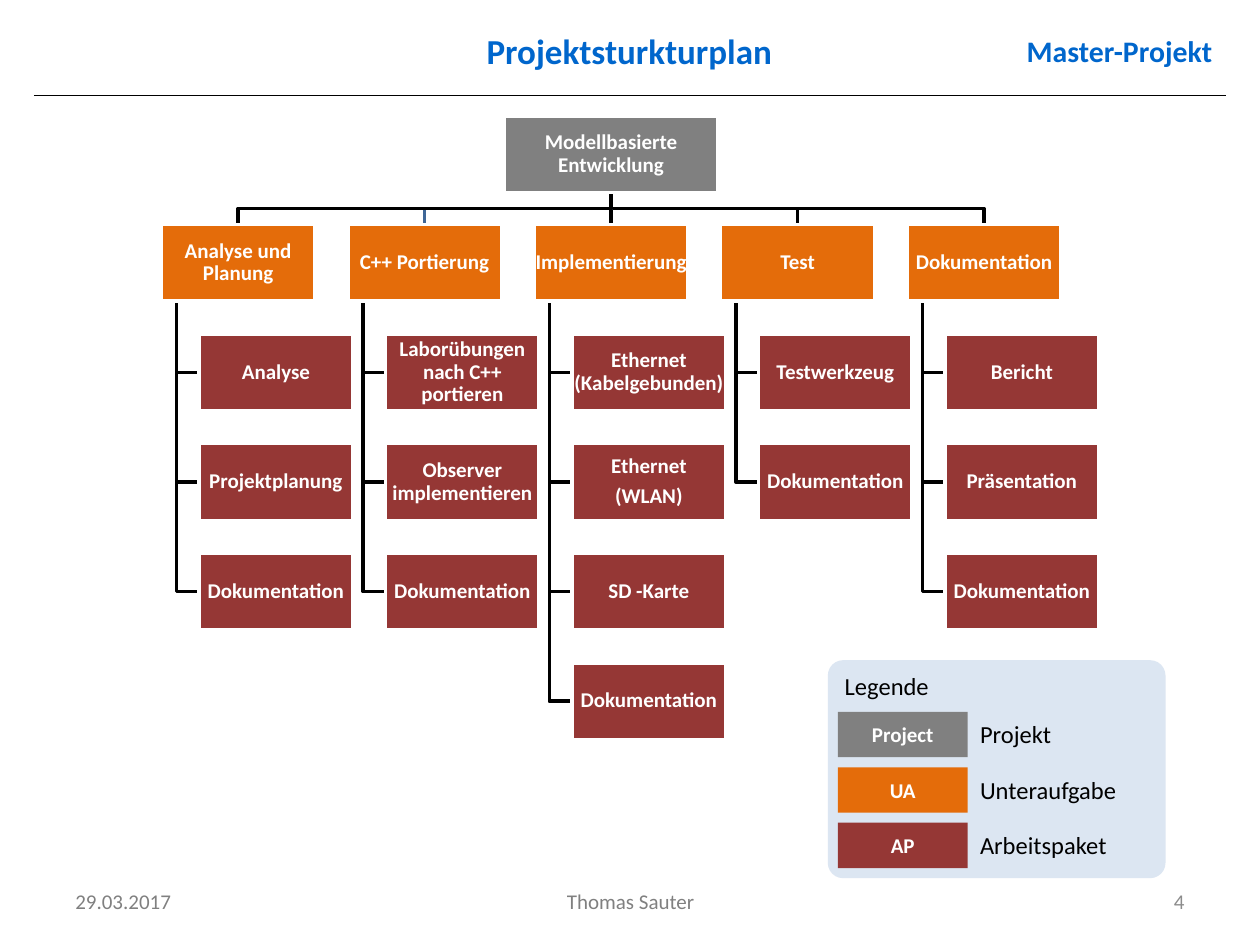
from lxml.etree import SubElement
from pptx import Presentation
from pptx.dml.color import RGBColor
from pptx.enum.shapes import MSO_CONNECTOR as Link, MSO_SHAPE as Shape
from pptx.enum.text import MSO_ANCHOR as Anchor, MSO_AUTO_SIZE as AutoSize, PP_ALIGN as Align
from pptx.oxml.ns import qn
from pptx.util import Inches, Pt

COLORS = {"black": "000000", "white": "FFFFFF", "title": "0066CC", "project": "808080",
          "task": "E46C0A", "package": "953735", "legend": "DCE6F2", "accent": "3F6797",
          "footer": "808080", "number": "8C8C8C"}
PROJECT = "Modellbasierte Entwicklung"
TASKS = [
    ("Analyse und Planung", ["Analyse", "Projektplanung", "Dokumentation"]),
    ("C++ Portierung", ["Laborübungen nach C++ portieren", "Observer implementieren",
                        "Dokumentation"]),
    ("Implementierung", ["Ethernet (Kabelgebunden)", "Ethernet\n(WLAN)", "SD -Karte",
                         "Dokumentation"]),
    ("Test", ["Testwerkzeug", "Dokumentation"]),
    ("Dokumentation", ["Bericht", "Präsentation", "Dokumentation"]),
]
LEGEND = [("Project", "Projekt", "project"), ("UA", "Unteraufgabe", "task"),
          ("AP", "Arbeitspaket", "package")]
FOOTER = [("29.03.2017", 0.5, 2.33, Align.LEFT, "footer"),
          ("Thomas Sauter", 3.42, 3.17, Align.CENTER, "footer"),
          ("4", 7.17, 2.33, Align.RIGHT, "number")]

WIDTH, HEIGHT = 10, 7.5
CENTER, ROOT_TOP, ROOT_WIDTH = 4.85, 0.92, 1.7
BOX_WIDTH, BOX_HEIGHT = 1.22, 0.61
COLUMN, ROW, TASK_TOP = 1.48, 0.87, 1.78
INDENT, TRUNK = 0.3, 0.12
LEGEND_LEFT, LEGEND_TOP, LEGEND_ROW = 6.57, 5.24, 0.44

deck = Presentation()
deck.slide_width, deck.slide_height = Inches(WIDTH), Inches(HEIGHT)
page = deck.slides.add_slide(deck.slide_layouts[5])


def color(name):
    return RGBColor.from_string(COLORS[name])


def write(shape, text, size=12, ink="white", bold=False, align=Align.CENTER,
          anchor=Anchor.MIDDLE, inset=None, wrap=True, line_spacing=None, after=0, before=0):
    frame = shape.text_frame
    frame.auto_size = AutoSize.NONE if wrap else AutoSize.SHAPE_TO_FIT_TEXT
    frame.word_wrap, frame.vertical_anchor = wrap, anchor
    if inset is not None:
        frame.margin_left = frame.margin_right = Inches(inset)
        frame.margin_top = frame.margin_bottom = Inches(inset)
    frame.text = text
    for para in frame.paragraphs:
        para.alignment, para.line_spacing = align, line_spacing
        para.space_after, para.space_before = Pt(after), Pt(before)
        for span in para.runs:
            font = span.font
            font.name, font.size, font.bold = "Calibri", Pt(size), bold
            font.color.rgb = color(ink)


def add_text(text, left, top, width, height, **style):
    box = page.shapes.add_textbox(*map(Inches, (left, top, width, height)))
    write(box, text, **style)


def add_block(left, top, width, height, fill, kind=Shape.RECTANGLE, border=None):
    block = page.shapes.add_shape(kind, *map(Inches, (left, top, width, height)))
    block.shadow.inherit = False
    block.fill.solid()
    block.fill.fore_color.rgb = color(fill)
    if border:
        block.line.color.rgb, block.line.width = color(border), Pt(2)
    else:
        block.line.fill.background()
    return block


def add_box(text, left, top, fill, width=BOX_WIDTH):
    box = add_block(left, top, width, BOX_HEIGHT, fill, border="white")
    write(box, text, bold=True, inset=0.01, line_spacing=0.9, after=4.2)
    return box


def add_path(points, ink="black"):
    start, *rest = [(Inches(x), Inches(y)) for x, y in points]
    builder = page.shapes.build_freeform(*start, scale=1.0)
    builder.add_line_segments(rest, close=False)
    path = builder.convert_to_shape()
    path.shadow.inherit = False
    path.fill.background()
    path.line.color.rgb, path.line.width = color(ink), Pt(2)


def add_line(x1, y1, x2, y2, width):
    line = page.shapes.add_connector(Link.STRAIGHT, *map(Inches, (x1, y1, x2, y2)))
    line.line.color.rgb, line.line.width = color("black"), Pt(width)
    SubElement(line._element.spPr, qn("a:effectLst"))
    return line


def task_center(column):
    return CENTER + (column - len(TASKS) // 2) * COLUMN


def task_left(column):
    return task_center(column) - BOX_WIDTH / 2


def row_top(row):
    return TASK_TOP + row * ROW


title = page.shapes.title
title.left, title.top, title.width, title.height = map(Inches, (2.12, 0.2, 5.75, 0.4))
write(title, "Projektsturkturplan", size=20, ink="title", bold=True)
add_text("Master-Projekt", 7.99, 0.18, 1.73, 0.44, size=17, ink="title", bold=True,
         align=Align.RIGHT, before=3.4)
add_line(0.27, 0.76, WIDTH - 0.27, 0.76, 0.75)

root_bottom = ROOT_TOP + BOX_HEIGHT
bus = (root_bottom + TASK_TOP) / 2
for column, (task, packages) in reversed(list(enumerate(TASKS))):
    center, left = task_center(column), task_left(column)
    trunk = left + TRUNK
    if column == len(TASKS) // 2:
        stem = add_line(CENTER, root_bottom, CENTER, TASK_TOP, 2)
    else:
        add_path([(CENTER, root_bottom), (CENTER, bus), (center, bus), (center, TASK_TOP)],
                 "accent" if column == 1 else "black")
    for row in range(len(packages), 0, -1):
        middle = row_top(row) + BOX_HEIGHT / 2
        add_path([(trunk, TASK_TOP + BOX_HEIGHT), (trunk, middle), (left + INDENT, middle)])

root = add_box(PROJECT, CENTER - ROOT_WIDTH / 2, ROOT_TOP, "project", ROOT_WIDTH)
task_boxes = []
for column, (task, packages) in enumerate(TASKS):
    left = task_left(column)
    task_boxes.append(add_box(task, left, TASK_TOP, "task"))
    for row, package_name in enumerate(packages, 1):
        add_box(package_name, left + INDENT, row_top(row), "package")
stem.begin_connect(root, 2)
stem.end_connect(task_boxes[len(TASKS) // 2], 0)

panel = add_block(LEGEND_LEFT, LEGEND_TOP, 2.68, 1.73, "legend", Shape.ROUNDED_RECTANGLE)
panel.adjustments[0] = 0.07
write(panel, "Legende", size=14, ink="black", align=Align.LEFT, anchor=Anchor.TOP)
for row, (mark, meaning, fill) in enumerate(LEGEND):
    top = LEGEND_TOP + 0.41 + row * LEGEND_ROW
    key = add_block(LEGEND_LEFT + 0.08, top, 1.03, 0.36, fill)
    write(key, mark, bold=True)
    add_text(meaning, LEGEND_LEFT + 1.11, top + 0.01, 1.3, 0.34, size=14, ink="black",
             align=Align.LEFT, anchor=Anchor.TOP, wrap=False)

for text, left, width, align, ink in FOOTER:
    add_text(text, left, 6.95, width, 0.4, ink=ink, align=align)

deck.save("out.pptx")
